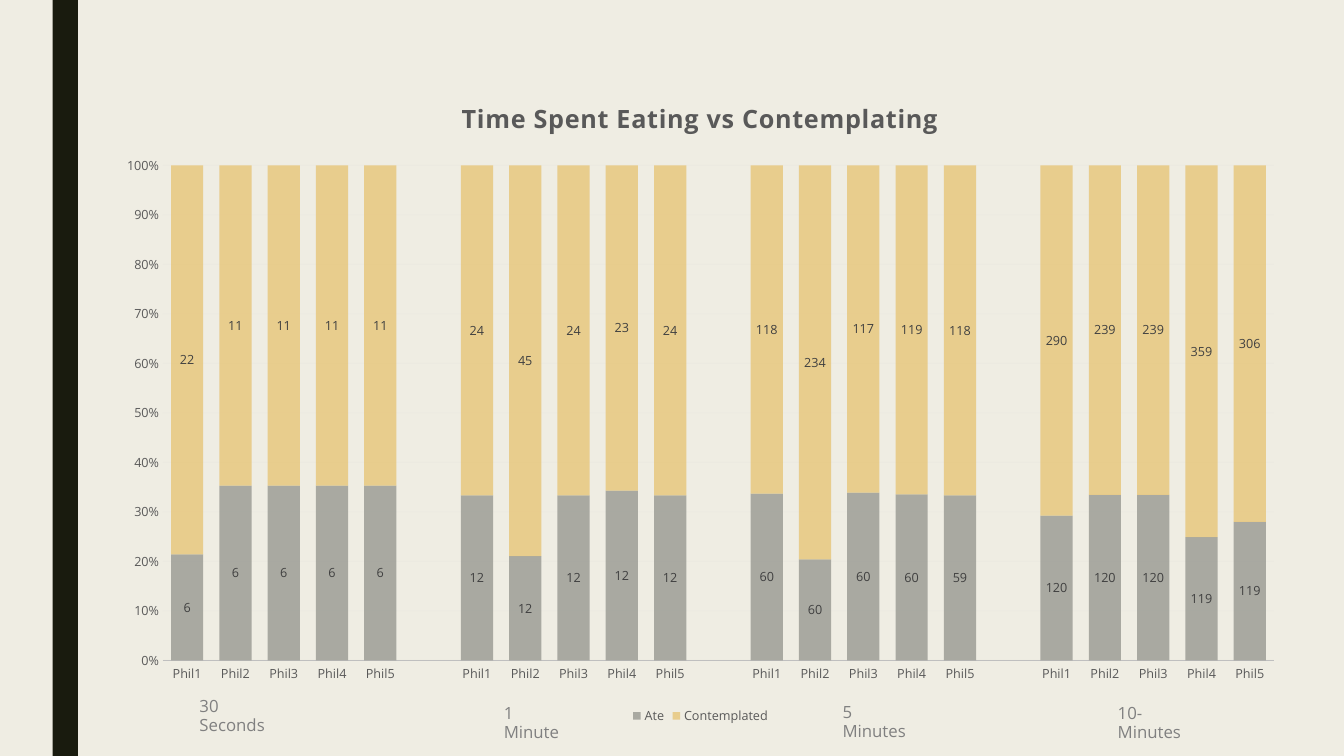
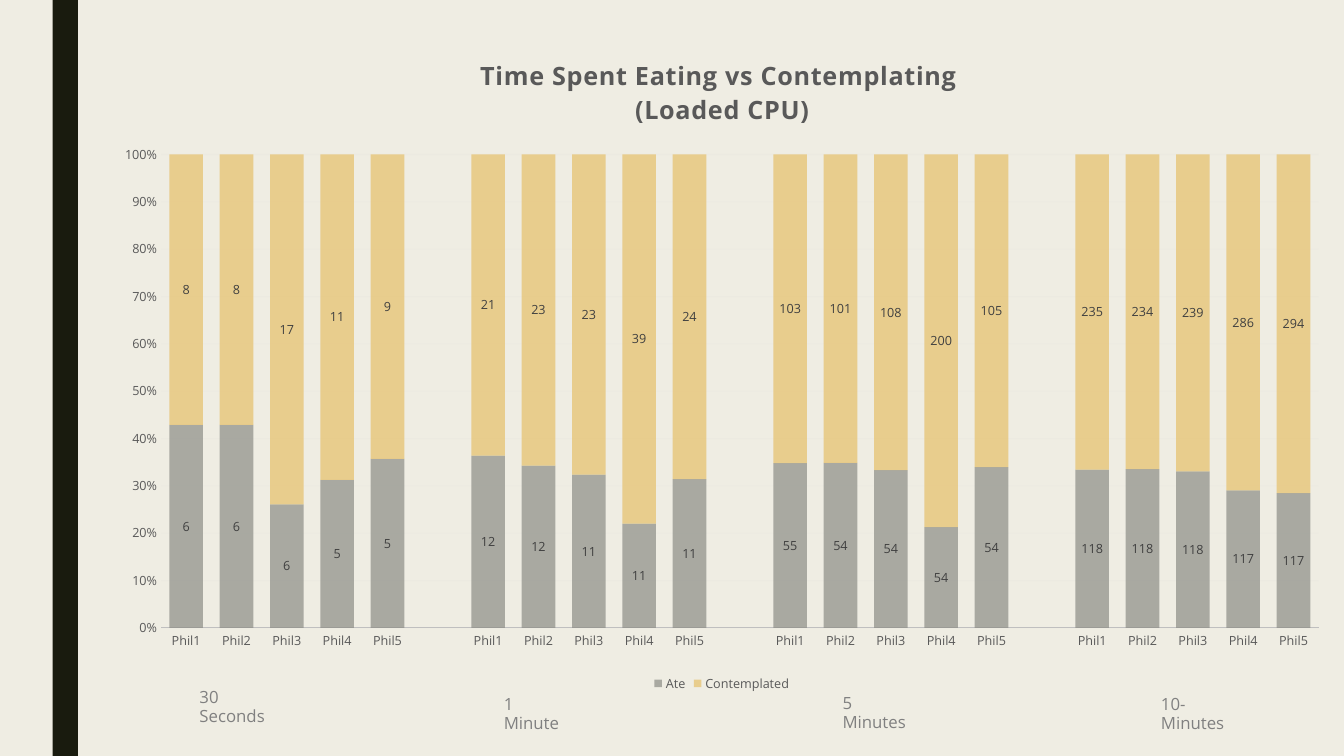
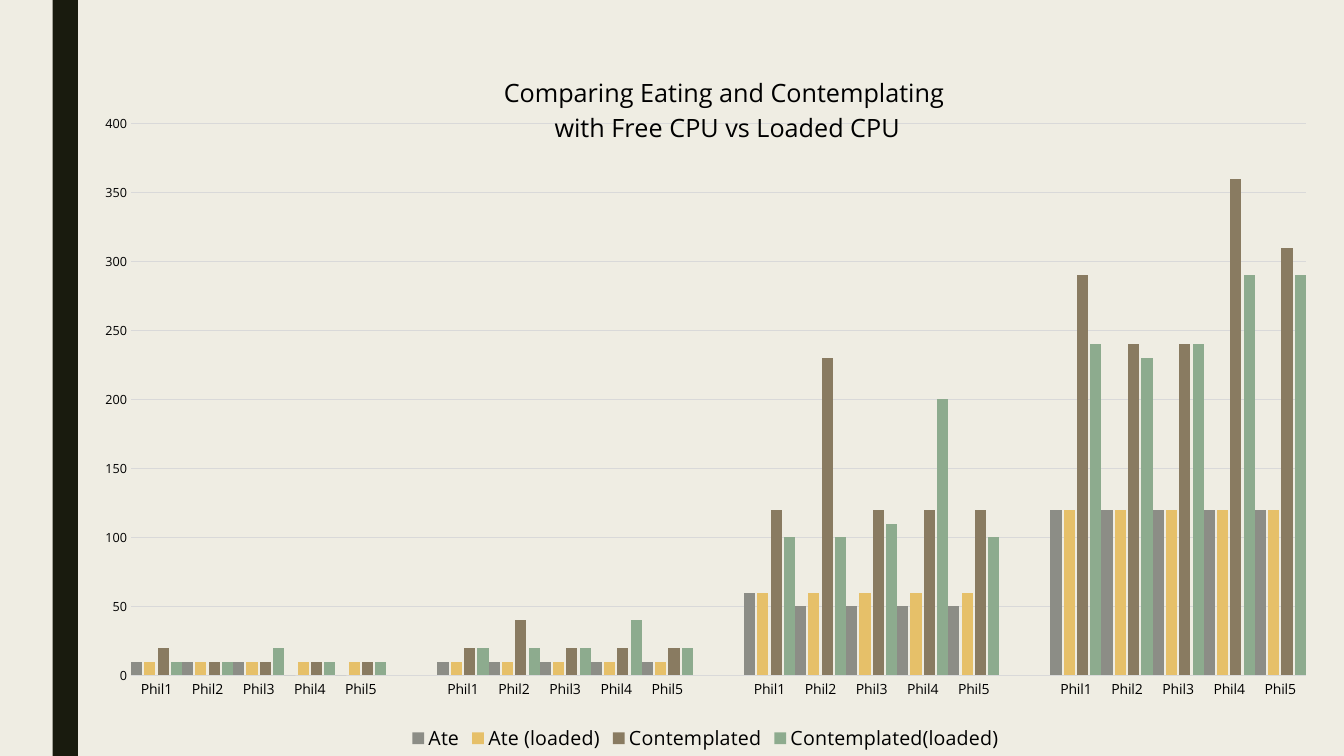
"""Build three chart slides comparing eating and contemplating times."""
from lxml import etree
from pptx import Presentation, util as u
from pptx.chart.data import CategoryChartData
from pptx.dml.color import RGBColor
from pptx.enum import chart as ch, shapes as sh
from pptx.oxml import ns, parse_xml

FONT = "Open Sans"
PAPER, BAND = "EFEDE3", "191B0E"
GRAY, GOLD, BROWN, GREEN = "8C8D86", "E6C069", "897B61", "8DAB8E"
TEXT, MUTED, LABEL, BLACK = "595959", "808080", "404040", "000000"
GRID, AXIS = "D9D9D9", "BFBFBF"

FREE = {
    "Ate": [[6, 6, 6, 6, 6], [12, 12, 12, 12, 12], [60, 60, 60, 60, 59], [120, 120, 120, 119, 119]],
    "Contemplated": [[22, 11, 11, 11, 11], [24, 45, 24, 23, 24],
                     [118, 234, 117, 119, 118], [290, 239, 239, 359, 306]],
}
LOADED = {
    "Ate": [[6, 6, 6, 5, 5], [12, 12, 11, 11, 11], [55, 54, 54, 54, 54], [118, 118, 118, 117, 117]],
    "Contemplated": [[8, 8, 17, 11, 9], [21, 23, 23, 39, 24],
                     [103, 101, 108, 200, 105], [235, 234, 239, 286, 294]],
}
BOTH = {
    "Ate": LOADED["Ate"],
    "Ate (loaded)": FREE["Ate"],
    "Contemplated": FREE["Contemplated"],
    "Contemplated(loaded)": LOADED["Contemplated"],
}
PEOPLE = [f"Phil{n}" for n in range(1, 6)]
TIMES = [("30 Seconds", 75.6), ("1 Minute", 60.5), ("5 Minutes", 66.2), ("10- Minutes", 75.6)]

STACK = dict(kind=ch.XL_CHART_TYPE.COLUMN_STACKED_100, hues=[GRAY, GOLD], alpha=70, digits=0,
             gap=50, overlap=100, bold=True, space=50, tone=TEXT, base=10, sizes=(9, 9, 9),
             axis=AXIS, grid=10, number="0%", labels=True)
CLUSTER = dict(kind=ch.XL_CHART_TYPE.COLUMN_CLUSTERED, hues=[GRAY, GOLD, BROWN, GREEN], alpha=100,
               digits=-1, gap=0, overlap=-20, bold=False, space=0, tone=BLACK, base=9,
               sizes=(10, 9, 14), axis=GRID, grid=100, number="General", labels=False)

SLIDES = [
    dict(STACK, data=FREE, title=["Time Spent Eating vs Contemplating"],
         box=(73.4, 54, 854, 466.6), plot=(116.4, 118.2, 793.6, 353.6), head=(326.6, 66.6),
         notes=[(135.4, 494.6), (352.8, 499.6), (594.7, 498.9), (791.3, 499.6)]),
    dict(STACK, data=LOADED, title=["Time Spent Eating vs Contemplating ", "(Loaded CPU)"],
         box=(71.3, 24.5, 888.5, 473), plot=(115, 110.4, 827, 338.2), head=(340.9, 37.7),
         notes=[(135.4, 488.1), (352.8, 493.2), (594.7, 492.4), (822.2, 493.2)]),
    dict(CLUSTER, data=BOTH,
         title=["Comparing Eating and Contemplating ", "with Free CPU vs Loaded CPU"],
         box=(56.9, 0, 894.2, 540), plot=(93.6, 88.2, 839.3, 394.3), head=(357.7, 50.1), notes=[]),
]


def hue(code):
    return RGBColor.from_string(code)


def pts(*vals):
    return [u.Pt(v) for v in vals]


def put(obj, **vals):
    for key, val in vals.items():
        setattr(obj, key, val)


def style(font, size, code, bold=False):
    put(font, name=FONT, size=u.Pt(size), bold=bold)
    font.color.rgb = hue(code)


def paint(fill, code):
    fill.solid()
    fill.fore_color.rgb = hue(code)


def find(chart, tag):
    return chart.element.find(".//" + ns.qn(tag))


def fade(root, alpha):
    if alpha < 100:
        for clr in root.iter(ns.qn("a:srgbClr")):
            etree.SubElement(clr, ns.qn("a:alpha")).set("val", str(alpha * 1000))


def place(node, box, spot, inner=False):
    """Fix a chart part at a spot on the slide."""
    old = node.find(ns.qn("c:layout"))
    if old is not None:
        node.remove(old)
    ratio = [(spot[0] - box[0]) / box[2], (spot[1] - box[1]) / box[3]]
    ratio += [size / full for size, full in zip(spot[2:], box[2:])]
    tags = '<c:layoutTarget val="inner"/>' if inner else ""
    tags += '<c:xMode val="edge"/><c:yMode val="edge"/>'
    tags += "".join(f'<c:{k} val="{v:.4f}"/>' for k, v in zip("xywh", ratio))
    part = parse_xml(f'<c:layout {ns.nsdecls("c")}><c:manualLayout>{tags}</c:manualLayout></c:layout>')
    if inner:
        node.insert(0, part)
    else:
        node.find(ns.qn("c:tx")).addnext(part)


def add_head(chart, page):
    head = chart.chart_title
    for i, line in enumerate(page["title"]):
        frame = head.text_frame
        para = frame.add_paragraph() if i else frame.paragraphs[0]
        run = para.add_run()
        run.text = line
        style(run.font, 18, page["tone"], page["bold"])
    title = find(chart, "c:title")
    for props in title.iter(ns.qn("a:rPr")):
        props.set("spc", str(page["space"]))
    head.include_in_layout = False
    place(title, page["box"], page["head"])


def add_axes(chart, page):
    cat, val = chart.category_axis, chart.value_axis
    for axis, size in zip((cat, val), page["sizes"]):
        put(axis, major_tick_mark=ch.XL_TICK_MARK.NONE, minor_tick_mark=ch.XL_TICK_MARK.NONE)
        style(axis.tick_labels.font, size, page["tone"])
    put(val.tick_labels, number_format=page["number"], number_format_is_linked=False)
    val.has_major_gridlines = True
    val.format.line.fill.background()
    rule = val.major_gridlines.format.line
    for line, code in ((cat.format.line, page["axis"]), (rule, GRID)):
        line.width = u.Pt(0.75)
        paint(line.fill, code)
    fade(find(chart, "c:majorGridlines"), page["grid"])


def add_bars(chart, page):
    plot = chart.plots[0]
    put(plot, gap_width=page["gap"], overlap=page["overlap"], vary_by_categories=False)
    for row, code in zip(plot.series, page["hues"]):
        paint(row.format.fill, code)
    for node in chart.element.iter(ns.qn("c:ser")):
        fade(node, page["alpha"])
    if page["labels"]:
        for row in plot.series:
            put(row.data_labels, show_value=True, position=ch.XL_LABEL_POSITION.CENTER)
            style(row.data_labels.font, 9, LABEL)


def add_plot(slide, page):
    data = CategoryChartData()
    data.categories = (PEOPLE + [""]) * 3 + PEOPLE
    for name, sets in page["data"].items():
        vals = []
        for part in sets:
            vals += [round(v, page["digits"]) for v in part] + [None]
        data.add_series(name, vals[:-1])
    chart = slide.shapes.add_chart(page["kind"], *pts(*page["box"]), data).chart
    style(chart.font, page["base"], BLACK)
    put(chart, has_title=True, has_legend=True)
    add_head(chart, page)
    add_axes(chart, page)
    add_bars(chart, page)
    put(chart.legend, position=ch.XL_LEGEND_POSITION.BOTTOM, include_in_layout=False)
    style(chart.legend.font, page["sizes"][2], page["tone"])
    place(find(chart, "c:plotArea"), page["box"], page["plot"], True)


def add_notes(slide, page):
    for (words, wide), (left, top) in zip(TIMES, page["notes"]):
        frame = slide.shapes.add_textbox(*pts(left, top, wide, 21.6)).text_frame
        frame.word_wrap = True
        para = frame.paragraphs[0]
        para.line_spacing = 0.95
        run = para.add_run()
        run.text = words
        style(run.font, 12, MUTED)


def add_band(deck, slide):
    master = deck.slide_master
    paint(master.background.fill, PAPER)
    band = slide.shapes.add_shape(sh.MSO_SHAPE.RECTANGLE, *pts(37.6, 0, 18, 540))
    band.shadow.inherit = False
    paint(band.fill, BAND)
    band.line.fill.background()
    master.element.cSld.spTree.append(band.element)


deck = Presentation()
put(deck, slide_width=u.Pt(960), slide_height=u.Pt(540))
for page in SLIDES:
    slide = deck.slides.add_slide(deck.slide_layouts[6])
    if page is SLIDES[0]:
        add_band(deck, slide)
    add_plot(slide, page)
    add_notes(slide, page)
deck.save("out.pptx")
